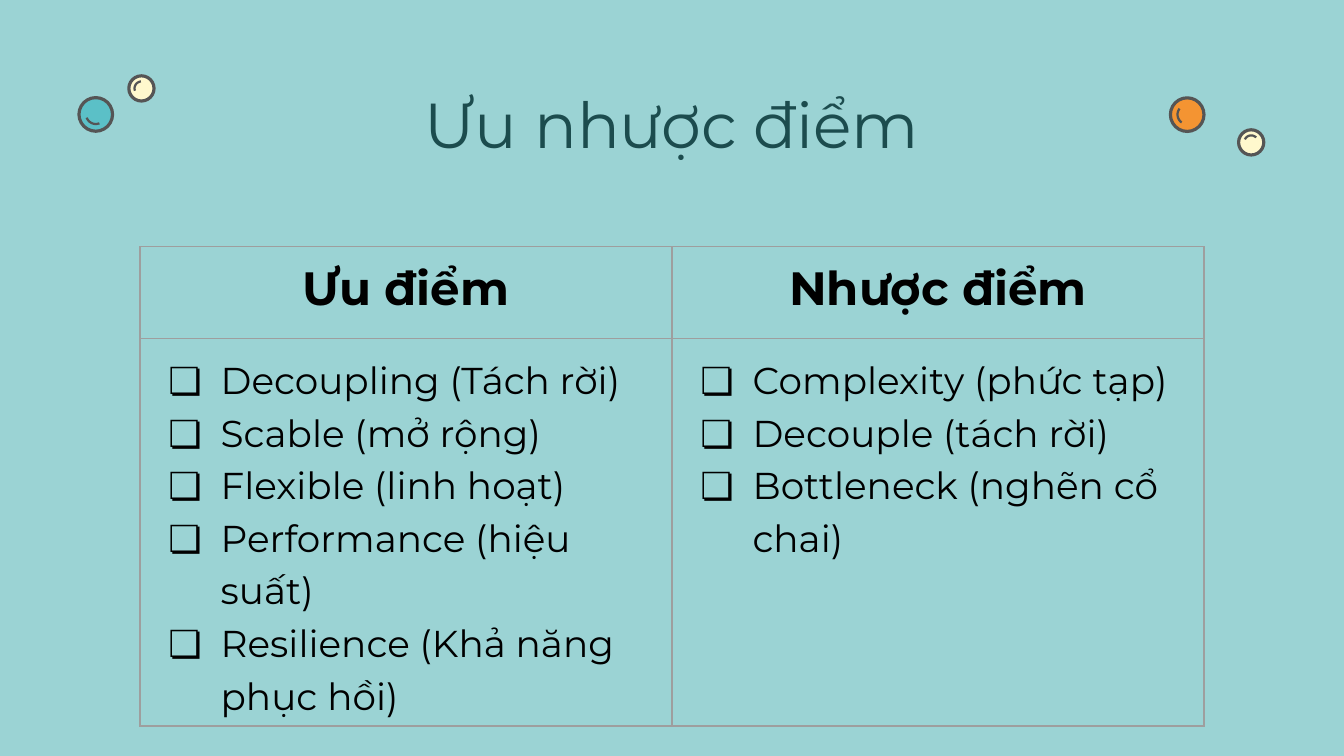
from dataclasses import dataclass
from math import cos, radians, sin

from lxml.etree import SubElement
from pptx import Presentation
from pptx.dml.color import RGBColor
from pptx.enum.shapes import MSO_SHAPE as Shape
from pptx.enum.text import PP_ALIGN as Align
from pptx.oxml.ns import qn
from pptx.util import Pt


@dataclass(frozen=True)
class Theme:
    font: str = "Montserrat"
    background: str = "9BD3D4"
    title: str = "1C4C4E"
    text: str = "000000"
    border: str = "9E9E9E"
    outline: str = "555555"
    cream: str = "FFF8CD"
    orange: str = "F49432"
    teal: str = "5BC0C7"
    title_size: int = 34
    header_size: int = 25
    body_size: int = 20
    inset: float = 7.2


THEME = Theme()

COLUMNS = {
    "Ưu điểm": [
        "Decoupling (Tách rời)",
        "Scable (mở rộng)",
        "Flexible (linh hoạt)",
        "Performance (hiệu suất)",
        "Resilience (Khả năng phục hồi)",
    ],
    "Nhược điểm": [
        "Complexity (phức tạp)",
        "Decouple (tách rời)",
        "Bottleneck (nghẽn cổ chai)",
    ],
}

# Centre x, centre y, diameter, fill, start and end angle of the glint
BUBBLES = [
    (670.3, 76.3, 13.5, THEME.cream, 205, 315),
    (636, 61.4, 18, THEME.orange, 125, 218),
    (75.8, 47.4, 13.5, THEME.cream, 160, 265),
    (51.3, 61.3, 18, THEME.teal, 68, 160),
]


def set_font(paragraph, size, color, bold=False):
    font = paragraph.font
    font.name = THEME.font
    font.size = Pt(size)
    font.bold = bold
    font.color.rgb = RGBColor.from_string(color)


def set_fill(fill, color):
    fill.solid()
    fill.fore_color.rgb = RGBColor.from_string(color)


def set_insets(target):
    for side in ("left", "top", "right", "bottom"):
        setattr(target, f"margin_{side}", Pt(THEME.inset))


def add_bullet(paragraph):
    properties = paragraph._p.get_or_add_pPr()
    properties.set("marL", str(Pt(36)))
    properties.set("indent", str(Pt(-28)))
    color = SubElement(properties, qn("a:buClr"))
    SubElement(color, qn("a:srgbClr"), val=THEME.text)
    SubElement(properties, qn("a:buFont"), typeface=THEME.font)
    SubElement(properties, qn("a:buChar"), char="❏")


def style_cell(cell):
    """Clear the fill, set the insets and draw all four borders."""
    properties = cell._tc.get_or_add_tcPr()
    for tag in ("a:lnL", "a:lnR", "a:lnT", "a:lnB"):
        line = SubElement(properties, qn(tag), w=str(Pt(0.75)))
        fill = SubElement(line, qn("a:solidFill"))
        SubElement(fill, qn("a:srgbClr"), val=THEME.border)
    cell.fill.background()
    set_insets(cell)


def add_glint(slide, center_x, center_y, radius, start, end, thickness=1.2, steps=12):
    """Draw a filled curved band; angles run clockwise from the right."""
    angles = [radians(start + (end - start) * step / steps) for step in range(steps + 1)]
    outer, inner = (
        [(Pt(center_x + r * cos(angle)), Pt(center_y + r * sin(angle))) for angle in angles]
        for r in (radius, radius - thickness))
    builder = slide.shapes.build_freeform(*outer[0])
    builder.add_line_segments(outer[1:] + inner[::-1], close=True)
    glint = builder.convert_to_shape()
    glint.shadow.inherit = False
    set_fill(glint.fill, THEME.outline)
    glint.line.fill.background()


def add_bubble(slide, center_x, center_y, diameter, color, start, end):
    """Draw an outlined ball with a concentric glint between two angles."""
    ball = slide.shapes.add_shape(
        Shape.OVAL, Pt(center_x - diameter / 2), Pt(center_y - diameter / 2),
        Pt(diameter), Pt(diameter))
    ball.shadow.inherit = False
    set_fill(ball.fill, color)
    ball.line.color.rgb = RGBColor.from_string(THEME.outline)
    ball.line.width = Pt(1.7)
    add_glint(slide, center_x, center_y, diameter * 0.32, start, end)


def add_title(slide, left, top, width, height):
    frame = slide.shapes.add_textbox(
        Pt(left), Pt(top), Pt(width), Pt(height)).text_frame
    frame.word_wrap = True
    set_insets(frame)
    paragraph = frame.paragraphs[0]
    paragraph.text = "Ưu nhược điểm"
    paragraph.alignment = Align.CENTER
    set_font(paragraph, THEME.title_size, THEME.title)


def add_comparison(slide, left, top, width, height, header_height=49):
    table = slide.shapes.add_table(
        2, len(COLUMNS), Pt(left), Pt(top), Pt(width), Pt(height)).table
    table.first_row = False
    table.horz_banding = False
    table.rows[0].height = Pt(header_height)
    table.rows[1].height = Pt(height - header_height)

    for index, (heading, items) in enumerate(COLUMNS.items()):
        table.columns[index].width = Pt(width / len(COLUMNS))
        header, body = table.cell(0, index), table.cell(1, index)
        style_cell(header)
        style_cell(body)

        paragraph = header.text_frame.paragraphs[0]
        paragraph.text = heading
        paragraph.alignment = Align.CENTER
        set_font(paragraph, THEME.header_size, THEME.text, bold=True)

        body.text_frame.text = "\n".join(items)
        for paragraph in body.text_frame.paragraphs:
            paragraph.line_spacing = 1.15
            add_bullet(paragraph)
            set_font(paragraph, THEME.body_size, THEME.text)


def main():
    presentation = Presentation()
    presentation.slide_width = Pt(720)
    presentation.slide_height = Pt(405)
    slide = presentation.slides.add_slide(presentation.slide_layouts[6])
    set_fill(slide.background.fill, THEME.background)

    for bubble in BUBBLES:
        add_bubble(slide, *bubble)
    add_title(slide, 60, 38.4, 600, 55.5)
    add_comparison(slide, 75, 132.2, 570, 255.8)
    presentation.save("out.pptx")


if __name__ == "__main__":
    main()
